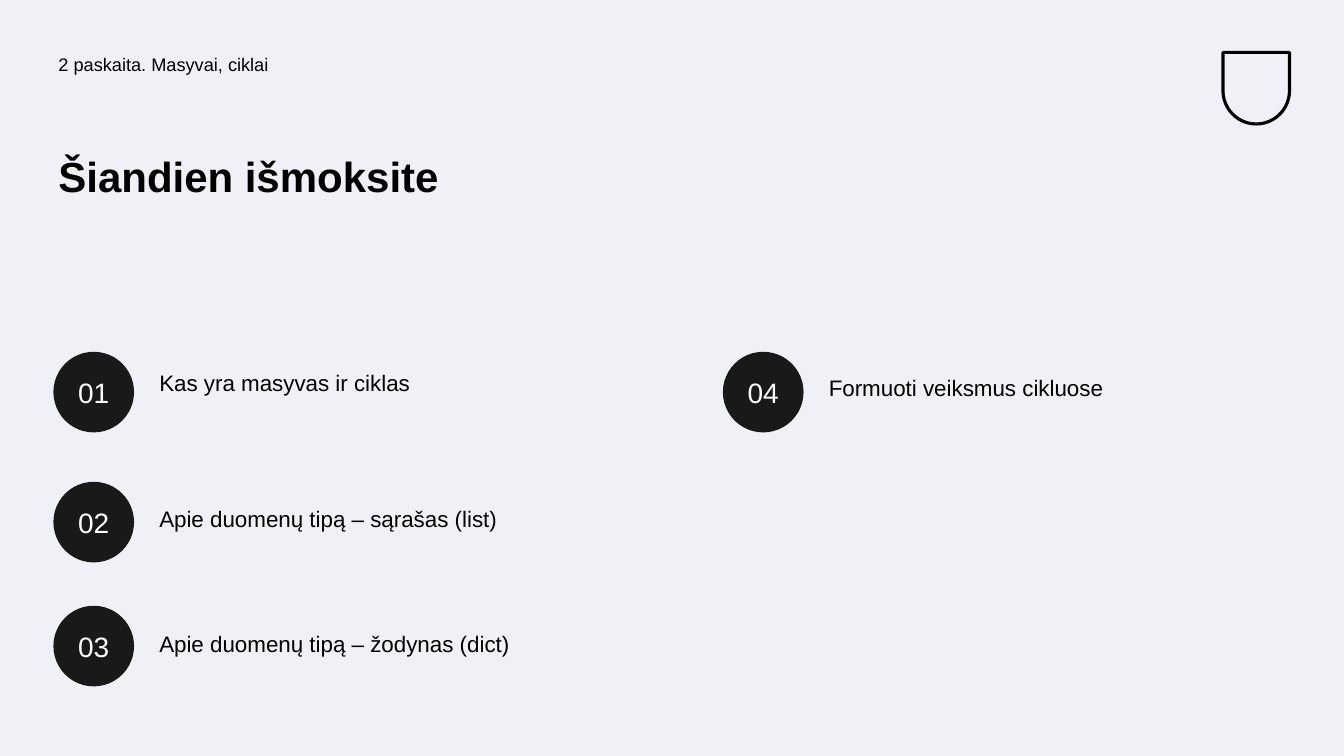
from pptx import Presentation
from pptx.dml.color import RGBColor
from pptx.enum.shapes import MSO_SHAPE as Shape
from pptx.enum.text import MSO_ANCHOR as Anchor, PP_ALIGN as Align
from pptx.util import Inches, Pt

THEME = {
    "font": "Arial",
    "background": RGBColor.from_string("F0F1F6"),
    "ink": RGBColor.from_string("000000"),
    "badge": RGBColor.from_string("191919"),
    "badge_text": RGBColor.from_string("FEFFFF"),
    "header_size": Pt(13),
    "title_size": Pt(30),
    "topic_size": Pt(16),
    "number_size": Pt(20),
}


def write(shape, text, size, color, bold=False, anchor=Anchor.TOP, **para_format):
    """Put one formatted paragraph into a shape."""
    frame = shape.text_frame
    frame_format = {"word_wrap": True, "vertical_anchor": anchor}
    for side in ("left", "top", "right", "bottom"):
        frame_format[f"margin_{side}"] = Inches(0.05)
    para = frame.paragraphs[0]
    span = para.add_run()
    span.text = text
    span.font.color.rgb = color
    font_format = {"name": THEME["font"], "size": size, "bold": bold}
    for target, values in ((frame, frame_format), (para, para_format), (span.font, font_format)):
        for name, value in values.items():
            setattr(target, name, value)


def add_text(page, area, text, size, **options):
    """Add a text box at left, top, width, height in inches."""
    box = page.shapes.add_textbox(*map(Inches, area))
    write(box, text, size, THEME["ink"], line_spacing=0.9, **options)


deck = Presentation()
deck.slide_width, deck.slide_height = Inches(13.33), Inches(7.5)
page = deck.slides.add_slide(deck.slide_layouts[6])
page.background.fill.solid()
page.background.fill.fore_color.rgb = THEME["background"]

# Plain shield in the top right corner
shield = page.shapes.add_shape(
    Shape.ROUND_2_SAME_RECTANGLE, Inches(12.13), Inches(0.52), Inches(0.66), Inches(0.71))
shield.adjustments[0], shield.adjustments[1] = 0, 0.5
shield.shadow.inherit = False
shield.fill.background()
shield.line.color.rgb = THEME["ink"]
shield.line.width = Pt(2.25)

# Header and title
add_text(page, (0.53, 0.5, 6.14, 0.5), "2 paskaita. Masyvai, ciklai",
         THEME["header_size"], space_before=Pt(10))
add_text(page, (0.53, 1.5, 5.64, 1.49), "Šiandien išmoksite", THEME["title_size"], bold=True)

# Numbered topics: badge left and top, then topic top and height
BADGE_SIZE = 0.8
TOPIC_OFFSET = 1.0
topics = [
    (0.53, 3.49, 3.64, 0.5, "Kas yra masyvas ir ciklas"),
    (0.53, 4.78, 4.99, 0.38, "Apie duomenų tipą – sąrašas (list)"),
    (0.53, 6.01, 6.23, 0.36, "Apie duomenų tipą – žodynas (dict)"),
    (7.17, 3.49, 3.69, 0.4, "Formuoti veiksmus cikluose"),
]
for number, (left, badge_top, topic_top, height, topic) in enumerate(topics, start=1):
    badge = page.shapes.add_shape(
        Shape.OVAL, *map(Inches, (left, badge_top, BADGE_SIZE, BADGE_SIZE)))
    badge.shadow.inherit = False
    badge.fill.solid()
    badge.fill.fore_color.rgb = THEME["badge"]
    badge.line.fill.background()
    write(badge, f"{number:02}", THEME["number_size"], THEME["badge_text"],
          anchor=Anchor.MIDDLE, alignment=Align.CENTER)
    add_text(page, (left + TOPIC_OFFSET, topic_top, 4.63, height), topic,
             THEME["topic_size"], space_before=Pt(10))

deck.save("out.pptx")
